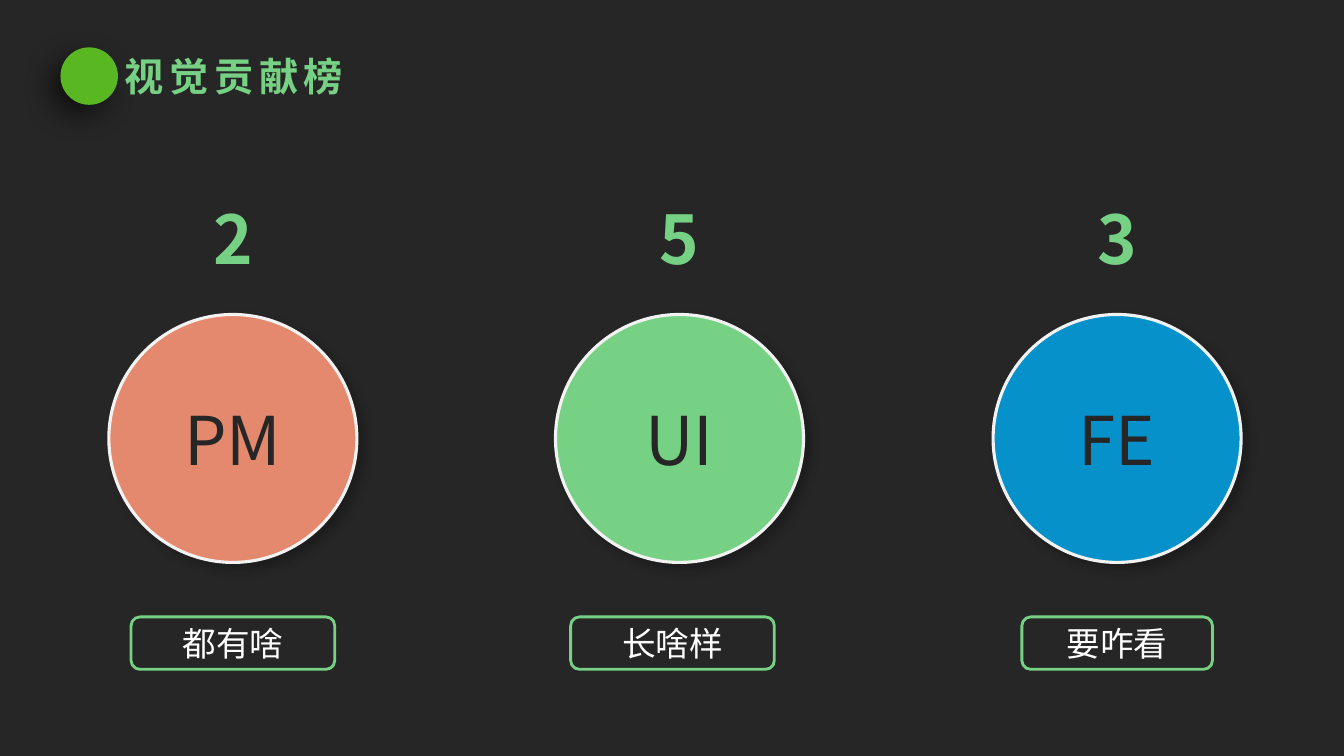
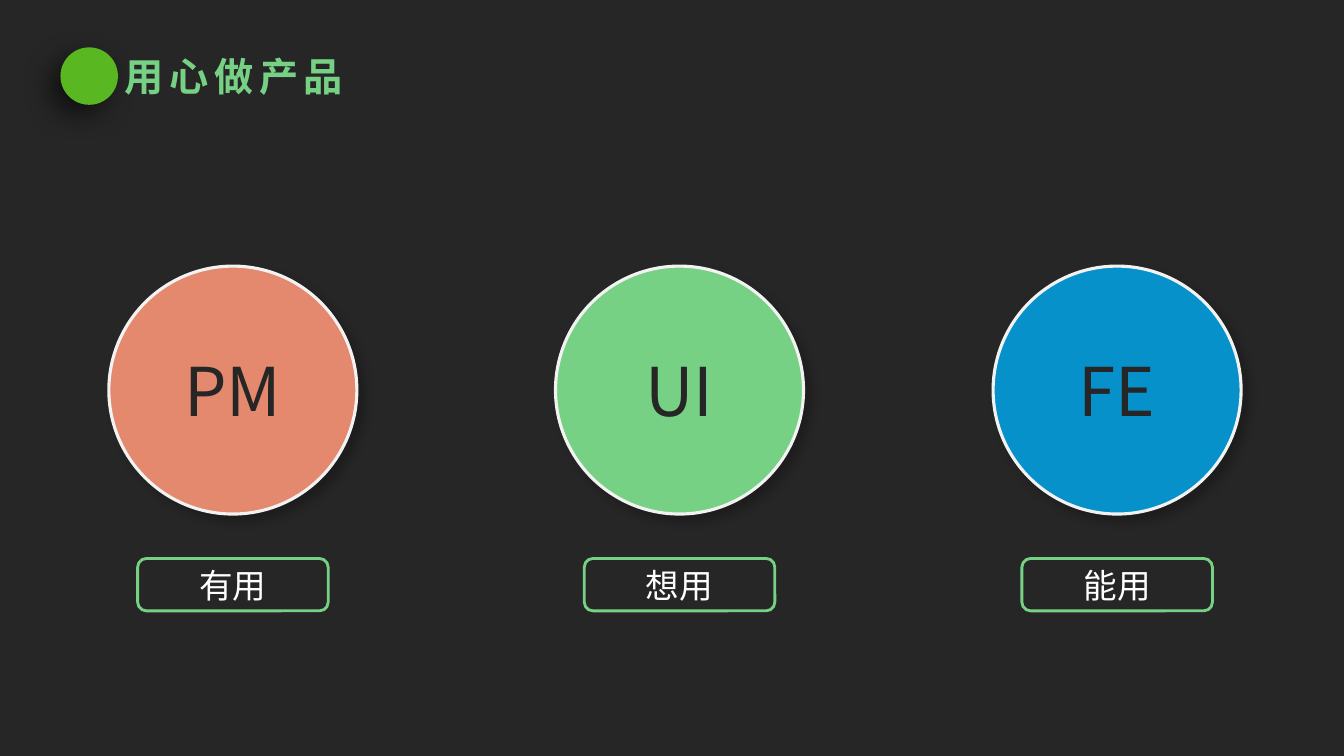
from dataclasses import dataclass

from lxml import etree
from pptx import Presentation
from pptx import util as u
from pptx.dml.color import RGBColor
from pptx.enum import shapes, text
from pptx.oxml import ns

WIDTH, HEIGHT = 13.33, 7.5
FONT = "Noto Sans CJK SC"
COLORS = {
    "background": "262626",
    "marker": "59B721",
    "green": "77D185",
    "coral": "E4896D",
    "blue": "0791CB",
    "outline": "F2F2F2",
    "white": "FFFFFF",
    "black": "000000",
}

MARKER_LEFT, MARKER_TOP, MARKER_SIZE = 0.6, 0.47, 0.57
TITLE_LEFT, TITLE_WIDTH = 1.14, 2.77
CIRCLE_SIZE = 2.46
NUMBER_WIDTH, NUMBER_HEIGHT, NUMBER_RISE = 0.59, 0.9, 1.21
LABEL_HEIGHT = 0.52
NARROW, WIDE = 1.89, 2.02


@dataclass(frozen=True)
class Box:
    left: float
    top: float
    width: float
    height: float

    def lengths(self) -> tuple:
        return tuple(u.Inches(n) for n in (self.left, self.top, self.width, self.height))


@dataclass(frozen=True)
class Style:
    size: float
    color: str
    bold: bool = False
    spacing: float = 0


@dataclass(frozen=True)
class Shadow:
    alpha: int
    blur: float
    distance: float
    angle: int


@dataclass(frozen=True)
class Role:
    name: str
    color: str
    center: float


@dataclass(frozen=True)
class Label:
    wording: str
    width: float = NARROW
    shift: float = 0
    number: str = ""


@dataclass(frozen=True)
class Page:
    title: str
    circle_top: float
    label_top: float
    labels: tuple


TITLE_STYLE = Style(28, "green", bold=True, spacing=4)
NUMBER_STYLE = Style(48, "green", bold=True, spacing=4)
ROLE_STYLE = Style(48, "background")
LABEL_STYLE = Style(24, "white")
MARKER_SHADOW = Shadow(60, 20, 10, 135)
CIRCLE_SHADOW = Shadow(23, 7, 5.9, 45)

ROLES = (
    Role("PM", "coral", 2.31),
    Role("UI", "green", 6.74),
    Role("FE", "blue", 11.08),
)
PAGES = (
    Page("视觉贡献榜", 3.12, 6.12, (
        Label("都有啥", WIDE, number="2"),
        Label("长啥样", WIDE, shift=-0.07, number="5"),
        Label("要咋看", number="3"),
    )),
    Page("用心做产品", 2.64, 5.54, (Label("有用"), Label("想用"), Label("能用"))),
)


def rgb(name: str) -> RGBColor:
    return RGBColor.from_string(COLORS[name])


def centered(center: float, top: float, width: float, height: float) -> Box:
    return Box(center - width / 2, top, width, height)


def write(shape, wording: str, style: Style, align=None) -> None:
    paragraph = shape.text_frame.paragraphs[0]
    paragraph.text = wording
    if align is not None:
        paragraph.alignment = align
    font = paragraph.font
    font.name, font.size, font.bold = FONT, u.Pt(style.size), style.bold
    font.color.rgb = rgb(style.color)
    # East Asian typeface and letter spacing
    properties = paragraph._p.pPr.find(ns.qn("a:defRPr"))
    etree.SubElement(properties, ns.qn("a:ea"), typeface=FONT)
    if style.spacing:
        properties.set("spc", str(int(style.spacing * 100)))


def add_shadow(shape, shadow: Shadow) -> None:
    effects = shape._element.spPr.find(ns.qn("a:effectLst"))
    outer = etree.SubElement(
        effects, ns.qn("a:outerShdw"),
        blurRad=str(u.Pt(shadow.blur)), dist=str(u.Pt(shadow.distance)),
        dir=str(shadow.angle * 60000), algn="ctr", rotWithShape="0")
    color = etree.SubElement(outer, ns.qn("a:srgbClr"), val=COLORS["black"])
    etree.SubElement(color, ns.qn("a:alpha"), val=str(shadow.alpha * 1000))


def add_figure(slide, kind, box: Box, fill: str = "", line: str = "",
               line_width: float = 0, shadow: Shadow | None = None):
    shape = slide.shapes.add_shape(kind, *box.lengths())
    if fill:
        shape.fill.solid()
        shape.fill.fore_color.rgb = rgb(fill)
    else:
        shape.fill.background()
    if line:
        shape.line.color.rgb = rgb(line)
        shape.line.width = u.Pt(line_width)
    else:
        shape.line.fill.background()
    shape.shadow.inherit = False
    if shadow:
        add_shadow(shape, shadow)
    shape.text_frame.vertical_anchor = text.MSO_ANCHOR.MIDDLE
    return shape


def add_text(slide, box: Box, wording: str, style: Style, wrap: bool) -> None:
    shape = slide.shapes.add_textbox(*box.lengths())
    shape.text_frame.word_wrap = wrap
    shape.text_frame.auto_size = text.MSO_AUTO_SIZE.SHAPE_TO_FIT_TEXT
    write(shape, wording, style)


def add_title(slide, title: str) -> None:
    marker = Box(MARKER_LEFT, MARKER_TOP, MARKER_SIZE, MARKER_SIZE)
    add_figure(slide, shapes.MSO_SHAPE.OVAL, marker, "marker", shadow=MARKER_SHADOW)
    box = Box(TITLE_LEFT, MARKER_TOP, TITLE_WIDTH, MARKER_SIZE)
    add_text(slide, box, title, TITLE_STYLE, wrap=True)


def add_column(slide, page: Page, role: Role, label: Label) -> None:
    # Number above the circle
    if label.number:
        box = centered(role.center, page.circle_top - NUMBER_RISE,
                       NUMBER_WIDTH, NUMBER_HEIGHT)
        add_text(slide, box, label.number, NUMBER_STYLE, wrap=False)
    # Role circle
    box = centered(role.center, page.circle_top, CIRCLE_SIZE, CIRCLE_SIZE)
    circle = add_figure(slide, shapes.MSO_SHAPE.OVAL, box, role.color,
                        "outline", 2.25, CIRCLE_SHADOW)
    write(circle, role.name, ROLE_STYLE, text.PP_ALIGN.CENTER)
    # Outlined label below
    box = centered(role.center + label.shift, page.label_top, label.width, LABEL_HEIGHT)
    frame = add_figure(slide, shapes.MSO_SHAPE.ROUNDED_RECTANGLE, box,
                       line="green", line_width=2)
    write(frame, label.wording, LABEL_STYLE, text.PP_ALIGN.CENTER)


def main() -> None:
    presentation = Presentation()
    presentation.slide_width = u.Inches(WIDTH)
    presentation.slide_height = u.Inches(HEIGHT)
    # Dark background shared through the master
    background = presentation.slide_master.background.fill
    background.solid()
    background.fore_color.rgb = rgb("background")

    blank = presentation.slide_layouts[6]
    for page in PAGES:
        slide = presentation.slides.add_slide(blank)
        add_title(slide, page.title)
        for role, label in zip(ROLES, page.labels):
            add_column(slide, page, role, label)
    presentation.save("out.pptx")


if __name__ == "__main__":
    main()
